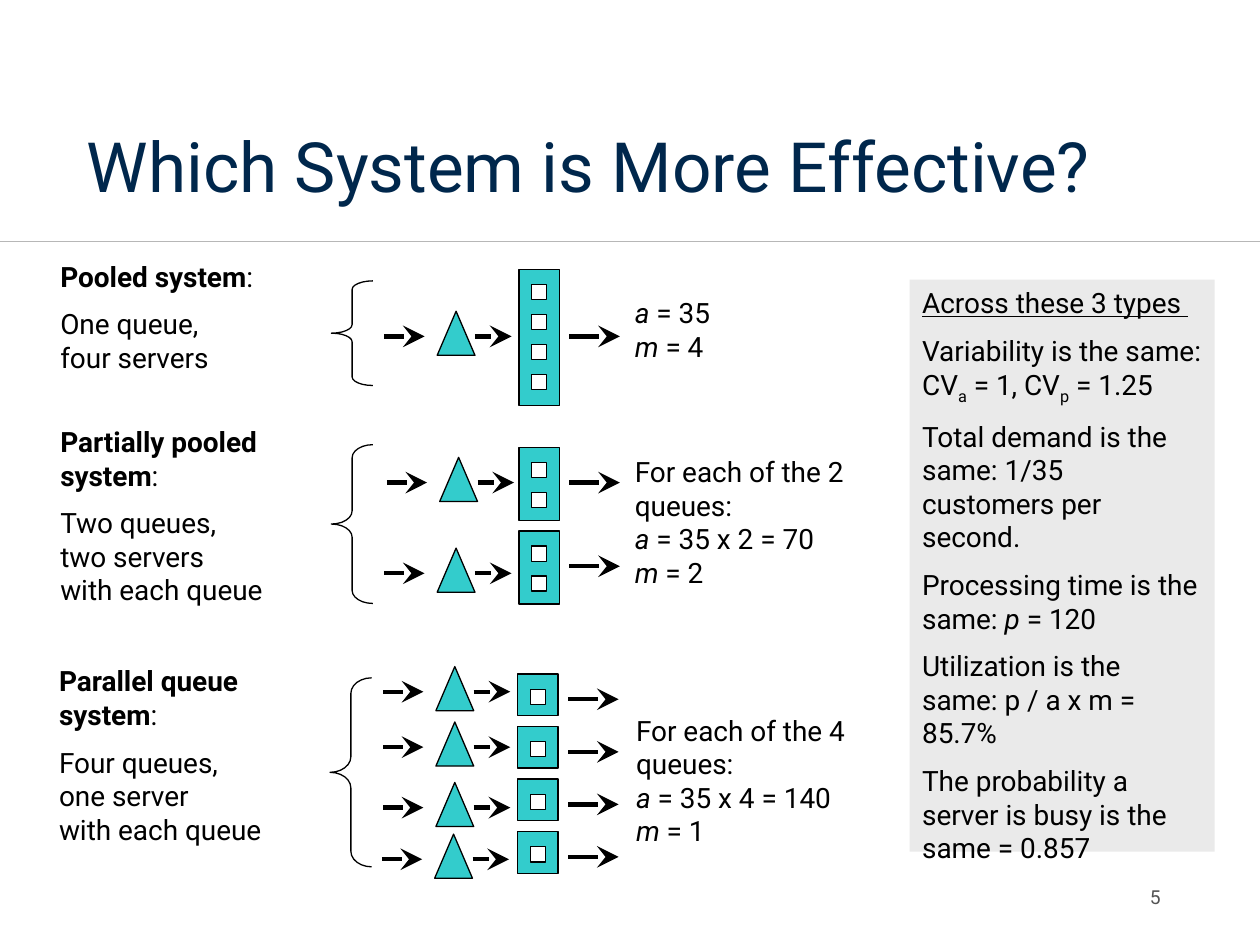
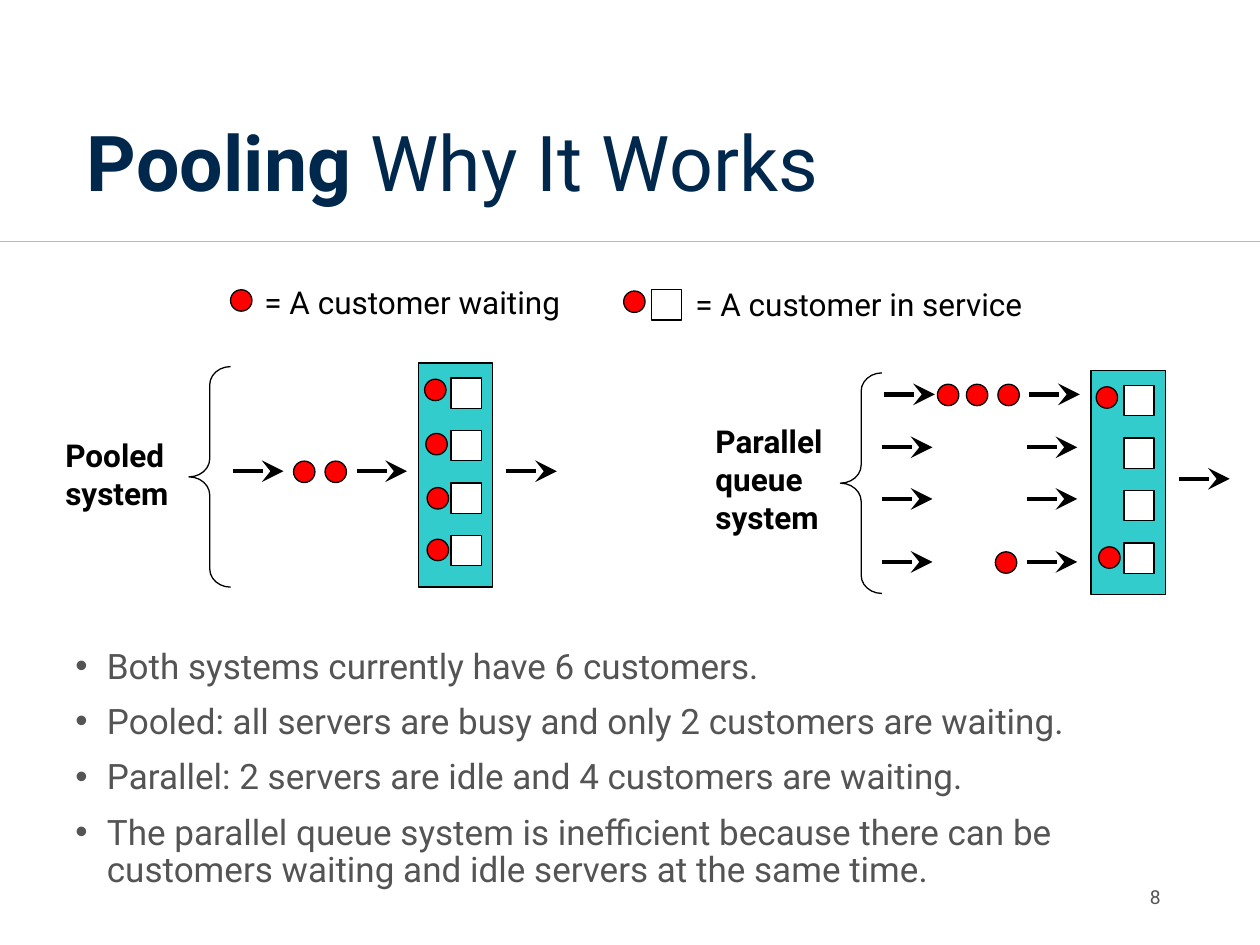
from lxml.etree import SubElement
from pptx import Presentation
from pptx.dml.color import RGBColor
from pptx.enum.shapes import MSO_CONNECTOR, MSO_SHAPE as SHAPE
from pptx.enum.text import MSO_ANCHOR as ANCHOR, PP_ALIGN as ALIGN
from pptx.oxml.ns import qn
from pptx.util import Inches, Pt

FONT = "Roboto"
NAVY, GREY, RULE = "00274C", "545454", "B7B7B7"
BLACK, WHITE, PANEL = "000000", "FFFFFF", "EAEAEA"
TEAL, RED = "33CCCC", "FF0000"


def rgb(value):
    return RGBColor.from_string(value)


class Deck:
    """Draws on the current slide, on a grid of 100 columns by 75 rows."""

    def __init__(self):
        self.prs = Presentation()
        self.prs.slide_width, self.prs.slide_height = Inches(10), Inches(7.5)
        self.cell = self.prs.slide_width / 100

    def grid(self, *lengths):
        return [round(n * self.cell) for n in lengths]

    def slide(self, title, size):
        self.s = self.prs.slides.add_slide(self.prs.slide_layouts[6])
        self.line(0, 19.2, 100, 19.2, RULE, 0.5)
        self.text((6.9, 4, 86.2, 14.5), [title], size, NAVY, anchor=ANCHOR.BOTTOM,
                  spacing=0.9, insets=(0, 0.5, 1, 2))

    def number(self, value):
        self.text((84.7, 69.2, 8.4, 4), [str(value)], 11, GREY,
                  anchor=ANCHOR.MIDDLE, align=ALIGN.RIGHT)

    def line(self, x1, y1, x2, y2, color=BLACK, width=2.5):
        c = self.s.shapes.add_connector(MSO_CONNECTOR.STRAIGHT, *self.grid(x1, y1, x2, y2))
        c.line.color.rgb, c.line.width = rgb(color), Pt(width)
        SubElement(c._element.spPr, qn("a:effectLst"))
        return c

    def arrow(self, x, y, length=4):
        c = self.line(x, y, x + length, y)
        ln = c._element.spPr.find(qn("a:ln"))
        SubElement(ln, qn("a:tailEnd"), type="stealth", w="lg", len="lg")

    def shape(self, kind, x, y, w, h, fill=None, line=BLACK):
        sp = self.s.shapes.add_shape(kind, *self.grid(x, y, w, h))
        sp.shadow.inherit = False
        if fill:
            sp.fill.solid()
            sp.fill.fore_color.rgb = rgb(fill)
        else:
            sp.fill.background()
        if line:
            sp.line.color.rgb, sp.line.width = rgb(line), Pt(0.75)
        else:
            sp.line.fill.background()
        return sp

    def brace(self, x, y, h):
        self.shape(SHAPE.LEFT_BRACE, x, y, 3.3, h).adjustments[0] = h / 40

    def square(self, x, y, size):
        self.shape(SHAPE.RECTANGLE, x, y, size, size, WHITE)

    def customer(self, x, y):
        self.shape(SHAPE.OVAL, x, y, 1.7, 1.7, RED)

    def text(self, box, paragraphs, size, color=BLACK, **style):
        sp = self.s.shapes.add_textbox(*self.grid(*box))
        self.put_text(sp, paragraphs, size, color, **style)

    def put_text(self, sp, paragraphs, size, color=BLACK, anchor=ANCHOR.TOP, align=ALIGN.LEFT,
                 before=0, spacing=None, insets=(1, 0.5, 1, 0.5), bullet=None):
        tf = sp.text_frame
        tf.word_wrap, tf.vertical_anchor = True, anchor
        (tf.margin_left, tf.margin_top,
         tf.margin_right, tf.margin_bottom) = self.grid(*insets)
        for i, content in enumerate(paragraphs):
            p = tf.add_paragraph() if i else tf.paragraphs[0]
            if bullet:
                pPr = p._p.get_or_add_pPr()
                indent = self.grid(2.5)[0]
                pPr.set("marL", str(indent))
                pPr.set("indent", str(-indent))
                SubElement(pPr, qn("a:buFont"), typeface="Arial")
                SubElement(pPr, qn("a:buChar"), char=bullet)
            p.alignment = align
            if spacing:
                p.line_spacing = spacing
            if i and before:
                p.space_before = Pt(before)
            self.fill_paragraph(p, content, size, color)

    def fill_paragraph(self, p, content, size, color):
        if isinstance(content, str):
            p.text = content
            styles = [""] * len(p.runs)
        else:
            styles = [style for _, style in content]
            for words, _ in content:
                p.add_run().text = words
        for r, style in zip(p.runs, styles):
            r.font.name, r.font.size, r.font.color.rgb = FONT, Pt(size), rgb(color)
            r.font.bold, r.font.italic = style == "bold", style == "italic"
            if style == "underline":
                r.font.underline = True
            if style == "sub":
                r.font._element.set("baseline", "-25000")

    def queue(self, x, y):
        self.arrow(x, y, 3.2)
        self.shape(SHAPE.ISOSCELES_TRIANGLE, x + 4.2, y - 2, 3, 3.5, TEAL)
        self.arrow(x + 7.2, y, 2.9)

    def station(self, x, y, servers, exit_y):
        self.shape(SHAPE.RECTANGLE, x, y, 3.2, 2.5 * servers + 0.8, TEAL)
        for i in range(servers):
            self.square(x + 1, y + 1.2 + 2.37 * i, 1.2)
        self.arrow(x + 4, y + exit_y)

    def service_desk(self, x, y):
        self.shape(SHAPE.RECTANGLE, x, y, 5.9, 17.8, TEAL)
        for i in range(4):
            self.square(x + 2.6, y + 1.2 + 4.17 * i, 2.4)
        self.arrow(x + 7, y + 8.6)


def compare_systems(d):
    d.slide("Which System is More Effective?", 39.6)
    systems = [
        ((3.8, 20.1, 24.2, 10.4), "Pooled system", "One queue,\vfour servers",
         (26.3, 22.3, 8.3), (49.4, 23, 12.8, 9.1), [], "35", 4),
        ((3.8, 33.2, 24.2, 15.8), "Partially pooled system",
         "Two queues,\vtwo servers\vwith each queue",
         (26.3, 35.3, 12.6), (49.4, 35.6, 20.3, 14.5),
         ["For each of the 2 queues:"], "35 x 2 = 70", 2),
        ((3.7, 52.2, 24.2, 15.8), "Parallel queue system",
         "Four queues,\vone server\vwith each queue",
         (26.2, 53.8, 15), (49.5, 56.1, 21.9, 14.5),
         ["For each of the 4 queues:"], "35 x 4 = 140", 1),
    ]
    for box, name, layout, brace, facts_box, intro, arrivals, servers in systems:
        d.text(box, [[(name, "bold"), (":", "")], layout], 16, before=8)
        d.brace(*brace)
        facts = [[("a", "italic"), (f" = {arrivals}", "")],
                 [("m", "italic"), (f" = {servers}", "")]]
        d.text(facts_box, intro + facts, 16)

    for x, y in [(30.5, 26.7), (30.7, 38.3), (30.5, 45.5), (30.4, 54.9),
                 (30.4, 59.3), (30.4, 64.1), (30.3, 68.2)]:
        d.queue(x, y)
    d.station(41.2, 21.4, 4, 5.3)
    for i in range(2):
        d.station(41.2, 35.5 + 6.64 * i, 2, 2.8)
    for i in range(4):
        d.station(41.1, 53.5 + 4.17 * i, 1, 2)

    panel = d.shape(SHAPE.RECTANGLE, 72.2, 22.2, 24.2, 45.4, PANEL, None)
    d.put_text(panel, [
        [("Across these 3 types ", "underline")],
        [("Variability is the same: CV", ""), ("a", "sub"), (" = 1, CV", ""),
         ("p", "sub"), (" = 1.25", "")],
        "Total demand is the same: 1/35 customers per second.",
        [("Processing time is the same: ", ""), ("p", "italic"), (" = 120", "")],
        "Utilization is the same: p / a x m = 85.7%",
        "The probability a server is busy is the same = 0.857",
    ], 16, before=8)
    d.number(5)


def explain_pooling(d):
    d.slide([("Pooling ", "bold"), ("Why It Works", "")], 44)
    body = d.shape(SHAPE.RECTANGLE, 5, 49.5, 92.5, 23.3, WHITE, None)
    d.put_text(body, [
        "Both systems currently have 6 customers.",
        "Pooled: all servers are busy and only 2 customers are waiting.",
        "Parallel: 2 servers are idle and 4 customers are waiting.",
        "The parallel queue system is inefficient because there can be "
        "customers waiting and idle servers at the same time.",
    ], 20, GREY, before=10, spacing=0.9, insets=(1, 2, 1, 0.5), bullet="•")

    d.customer(18.3, 23)
    d.text((20, 22, 29.5, 4), ["= A customer waiting"], 18)
    d.customer(49.5, 23.1)
    d.square(51.7, 23, 2.4)
    d.text((54.2, 22.1, 33.3, 4), ["= A customer in service"], 18)

    d.text((4.2, 34.1, 10.8, 7), [[("Pooled system", "bold")]], 18)
    d.brace(15, 29.1, 17.5)
    d.service_desk(33.2, 28.8)
    for x in (18.5, 28.3):
        d.arrow(x, 37.4)

    d.text((55.8, 33, 10.9, 10), [[("Parallel queue system", "bold")]], 18)
    d.brace(66.7, 29.6, 17.5)
    d.service_desk(86.6, 29.4)
    for x, y in [(70.2, 31.3), (70, 35.5), (70, 39.6), (70, 44.6)]:
        d.arrow(x, y)
        d.arrow(x + 11.5, y)

    pooled = [(33.7, 30.1), (33.8, 34.4), (33.9, 38.7), (33.9, 42.8),
              (23.3, 36.6), (25.8, 36.6)]
    parallel = [(87, 30.7), (87.2, 43.4), (74.4, 30.5), (76.7, 30.5),
                (79.2, 30.5), (79, 43.8)]
    for x, y in pooled + parallel:
        d.customer(x, y)
    d.number(8)


def main():
    d = Deck()
    compare_systems(d)
    explain_pooling(d)
    d.prs.save("out.pptx")


if __name__ == "__main__":
    main()
